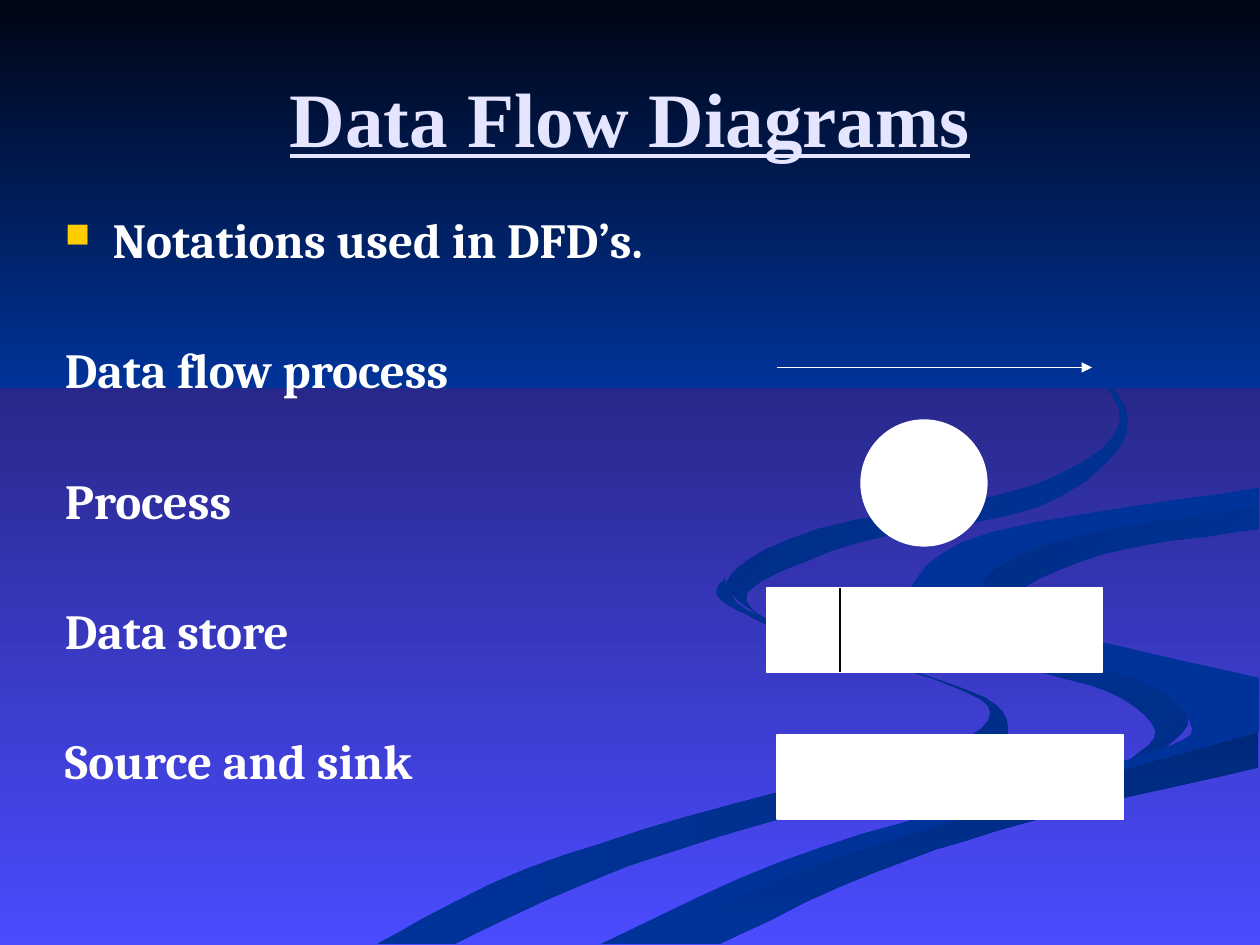
from lxml.etree import SubElement
from pptx import Presentation
from pptx.dml.color import RGBColor as RGB
from pptx.enum.shapes import MSO_CONNECTOR as CONN, MSO_SHAPE as SHAPE
from pptx.enum.text import MSO_ANCHOR as ANCHOR, PP_ALIGN as ALIGN
from pptx.oxml.ns import qn
from pptx.util import Pt

COLORS = {
    "white": "FFFFFF", "title": "E5E5FF", "bullet": "FFCC00", "ink": "000514",
    "ground_top": "101038", "ground_bottom": "4B4BFF", "river": "003399",
    "bank": "002E8A", "shore": "00297C", "bend": "002C85", "stream": "002B81",
}
RIVER_UNIT = Pt(0.72)  # river banks are plotted on a 1000 x 750 grid
CURVE_STEPS = 5

# Banks shared by neighbouring parts of the river
SHORE = [(999, 581), (831, 629), (630, 693), (503, 749)]
INNER = [(999, 402), (850, 427), (781, 462), (826, 496)]
FOLD = [(926, 593), (943, 570), (905, 540), (811, 515), (745, 490), (724, 464)]

# Each part of the river: colours, gradient angle, smooth banks joined at corners
RIVER = [
    (("bank", "river"), 180, [
        [(361, 749), (499, 687), (676, 634), (786, 601), (800, 581), (781, 553),
         (682, 519), (594, 485), (575, 459)],
        [(575, 459), (572, 476), (631, 505), (741, 539), (786, 566), (739, 598),
         (579, 639), (417, 690), (300, 749)]]),
    (("bank", "river"), 135, [
        FOLD, [(724, 464), (781, 518), (880, 549), (917, 580), (894, 605)]]),
    (("shore", "river"), 270, [
        SHORE, [(571, 749), (695, 692), (821, 651), (999, 609)]]),
    (("river",), 0, [
        [(477, 749), (619, 684), (780, 634)] + FOLD + [(788, 422), (999, 387)],
        INNER + [(999, 538)], SHORE]),
    (("river", "bend"), 135, [
        INNER, [(826, 496), (805, 472), (878, 439), (999, 420)]]),
    (("river", "stream"), 135, [
        [(762, 233), (864, 291), (894, 344), (825, 402), (683, 430), (593, 470),
         (622, 500)],
        [(622, 500), (577, 462), (649, 420), (818, 386), (889, 335), (846, 279),
         (762, 233)]]),
]


def rgb(name):
    return RGB.from_string(COLORS[name])


def paint(fill, names, angle=0):
    """Fill with one colour, or with a two-colour gradient."""
    if len(names) == 1:
        fill.solid()
        fill.fore_color.rgb = rgb(names[0])
        return
    fill.gradient()
    fill.gradient_angle = angle
    for stop, name in zip(fill.gradient_stops, names):
        stop.color.rgb = rgb(name)


def smooth(knots):
    """Return points on a Catmull-Rom curve through the knots."""
    ends = [knots[0], *knots, knots[-1]]
    points = []
    for a, b, c, d in zip(ends, ends[1:], ends[2:], ends[3:]):
        for step in range(CURVE_STEPS):
            t = step / CURVE_STEPS
            points.append(tuple(
                q + t / 2 * (r - p + t * (2 * p - 5 * q + 4 * r - s
                                          + t * (3 * (q - r) + s - p)))
                for p, q, r, s in zip(a, b, c, d)))
    return points + [knots[-1]]


class Deck:
    title = {"name": "Times New Roman", "size": Pt(44), "bold": True, "underline": True}
    body = {"name": "Cambria", "size": Pt(28), "bold": True}
    line_width = Pt(0.75)
    indent = Pt(27.36)

    def __init__(self):
        self.prs = Presentation()
        self.prs.slide_width, self.prs.slide_height = Pt(720), Pt(540)
        self.s = self.prs.slides.add_slide(self.prs.slide_layouts[6])

    def river(self, names, angle, banks):
        points = [point for bank in banks for point in smooth(bank)]
        fb = self.s.shapes.build_freeform(*points[0], scale=RIVER_UNIT)
        fb.add_line_segments(points[1:], close=True)
        sp = fb.convert_to_shape()
        sp.shadow.inherit = False
        sp.line.fill.background()
        paint(sp.fill, names, angle)

    def text(self, box, lines, style, color, anchor=ANCHOR.TOP, gap=0, **layout):
        tf = self.s.shapes.add_textbox(*map(Pt, box)).text_frame
        tf.word_wrap = True
        tf.vertical_anchor = anchor
        for i, line in enumerate(lines):
            p = tf.paragraphs[0] if i == 0 else tf.add_paragraph()
            p.space_before = Pt(gap if i else 0)
            for key, value in layout.items():
                setattr(p, key, value)
            r = p.add_run()
            r.text = line
            for key, value in style.items():
                setattr(r.font, key, value)
            r.font.color.rgb = rgb(color)
        return tf

    def bullet(self, p):
        pPr = p._p.get_or_add_pPr()
        pPr.set("marL", str(self.indent))
        pPr.set("indent", str(-self.indent))
        clr = SubElement(pPr, qn("a:buClr"))
        SubElement(clr, qn("a:srgbClr"), val=COLORS["bullet"])
        SubElement(pPr, qn("a:buSzPct"), val="70000")
        SubElement(pPr, qn("a:buChar"), char="■")

    def shape(self, kind, box, names=("white",), angle=0, line="white"):
        sp = self.s.shapes.add_shape(kind, *map(Pt, box))
        sp.shadow.inherit = False
        paint(sp.fill, names, angle)
        if line:
            sp.line.color.rgb = rgb(line)
            sp.line.width = self.line_width
        else:
            sp.line.fill.background()

    def line(self, start, end, color, arrow=False):
        c = self.s.shapes.add_connector(CONN.STRAIGHT, *map(Pt, start + end))
        c.line.color.rgb = rgb(color)
        c.line.width = self.line_width
        if arrow:
            SubElement(c.line._get_or_add_ln(), qn("a:tailEnd"), type="triangle")
        SubElement(c._element.spPr, qn("a:effectLst"))


def main():
    d = Deck()
    paint(d.s.background.fill, ("ground_top", "ground_bottom"), 270)
    for part in RIVER:
        d.river(*part)
    d.shape(SHAPE.RECTANGLE, (0, 0, 720, 221.76), ("ink", "river"), 270, line=None)

    d.text((36, 21.6, 648, 90), ["Data Flow Diagrams"], d.title, "title",
           ANCHOR.MIDDLE, alignment=ALIGN.CENTER)
    notations = ["Notations used in DFD’s.", "Data flow process", "Process",
                 "Data store", "Source and sink"]
    tf = d.text((30, 120, 648, 356), notations, d.body, "white",
                gap=44.2, line_spacing=0.9)
    d.bullet(tf.paragraphs[0])

    d.line((444, 210), (624, 210), "white", arrow=True)
    d.shape(SHAPE.OVAL, (492, 240, 72, 72))
    d.shape(SHAPE.RECTANGLE, (438, 336, 192, 48))
    d.line((480, 336), (480, 384), "ink")
    d.shape(SHAPE.RECTANGLE, (444, 420, 198, 48))
    d.prs.save("out.pptx")


if __name__ == "__main__":
    main()
